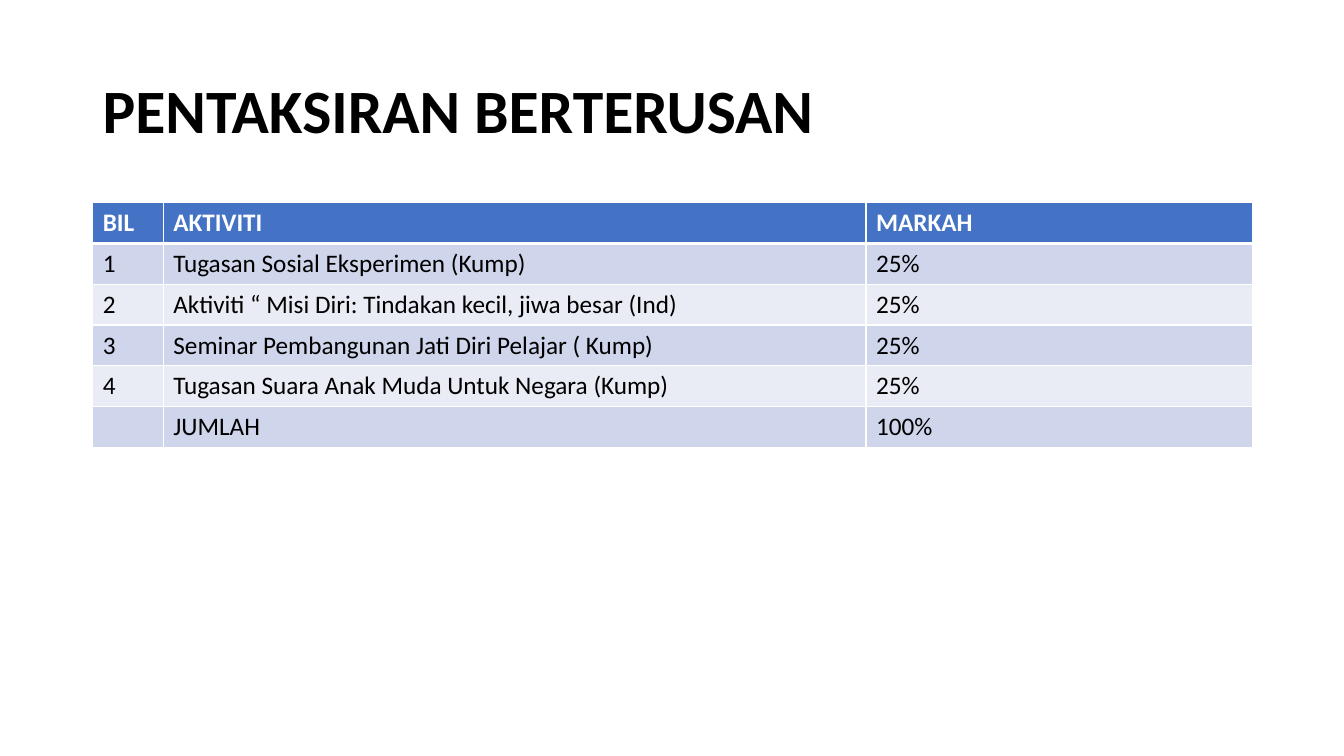
from dataclasses import dataclass

from lxml.etree import SubElement
from pptx import Presentation
from pptx.dml.color import RGBColor
from pptx.enum.text import MSO_ANCHOR
from pptx.oxml.ns import qn
from pptx.util import Inches, Pt

TITLE = "PENTAKSIRAN BERTERUSAN"
ROWS = [
    ("BIL", "AKTIVITI", "MARKAH"),
    ("1", "Tugasan Sosial Eksperimen (Kump)", "25%"),
    ("2", "Aktiviti “ Misi Diri: Tindakan kecil, jiwa besar (Ind)", "25%"),
    ("3", "Seminar Pembangunan Jati Diri Pelajar ( Kump)", "25%"),
    ("4", "Tugasan Suara Anak Muda Untuk Negara (Kump)", "25%"),
    ("", "JUMLAH", "100%"),
]
COLUMN_WIDTHS = (0.7, 6.97, 3.83)
LEFT, WIDTH = 0.92, 11.5
TITLE_TOP, TITLE_HEIGHT = 0.4, 1.45
TABLE_TOP, TABLE_HEIGHT = 2.01, 2.43


@dataclass(frozen=True)
class Theme:
    font: str = "Calibri"
    title_size: int = 44
    cell_size: int = 18
    text: str = "000000"
    header_text: str = "FFFFFF"
    header_fill: str = "4472C4"
    bands: tuple = ("CFD5EA", "E9EBF5")
    border: str = "FFFFFF"
    border_width: int = 1
    header_rule: int = 3


THEME = Theme()


def style_font(paragraph, size, color, bold):
    font = paragraph.font
    font.name, font.size, font.bold = THEME.font, Pt(size), bold
    font.color.rgb = RGBColor.from_string(color)


def add_borders(cell, top, bottom):
    """Draw all four cell borders; top and bottom are widths in points."""
    properties = cell._tc.get_or_add_tcPr()
    side = THEME.border_width
    for tag, width in (("a:lnL", side), ("a:lnR", side), ("a:lnT", top), ("a:lnB", bottom)):
        line = SubElement(properties, qn(tag), w=str(Pt(width)))
        fill = SubElement(line, qn("a:solidFill"))
        SubElement(fill, qn("a:srgbClr"), val=THEME.border)


def add_title(page):
    box = page.shapes.add_textbox(
        Inches(LEFT), Inches(TITLE_TOP), Inches(WIDTH), Inches(TITLE_HEIGHT))
    frame = box.text_frame
    frame.word_wrap = True
    frame.vertical_anchor = MSO_ANCHOR.MIDDLE
    para = frame.paragraphs[0]
    para.text = TITLE
    para.line_spacing = 0.9
    style_font(para, THEME.title_size, THEME.text, True)


def add_marks_table(page):
    table = page.shapes.add_table(
        len(ROWS), len(COLUMN_WIDTHS), Inches(LEFT), Inches(TABLE_TOP),
        Inches(WIDTH), Inches(TABLE_HEIGHT)).table
    for column, width in zip(table.columns, COLUMN_WIDTHS):
        column.width = Inches(width)
    for row, texts in enumerate(ROWS):
        header = row == 0
        fill = THEME.header_fill if header else THEME.bands[(row - 1) % 2]
        color = THEME.header_text if header else THEME.text
        top = THEME.header_rule if row == 1 else THEME.border_width
        bottom = THEME.header_rule if header else THEME.border_width
        for column, text in enumerate(texts):
            cell = table.cell(row, column)
            add_borders(cell, top, bottom)
            cell.fill.solid()
            cell.fill.fore_color.rgb = RGBColor.from_string(fill)
            para = cell.text_frame.paragraphs[0]
            para.text = text
            style_font(para, THEME.cell_size, color, header)


def main():
    deck = Presentation()
    deck.slide_width, deck.slide_height = Inches(13.33), Inches(7.5)
    page = deck.slides.add_slide(deck.slide_layouts[6])
    add_title(page)
    add_marks_table(page)
    deck.save("out.pptx")


if __name__ == "__main__":
    main()
